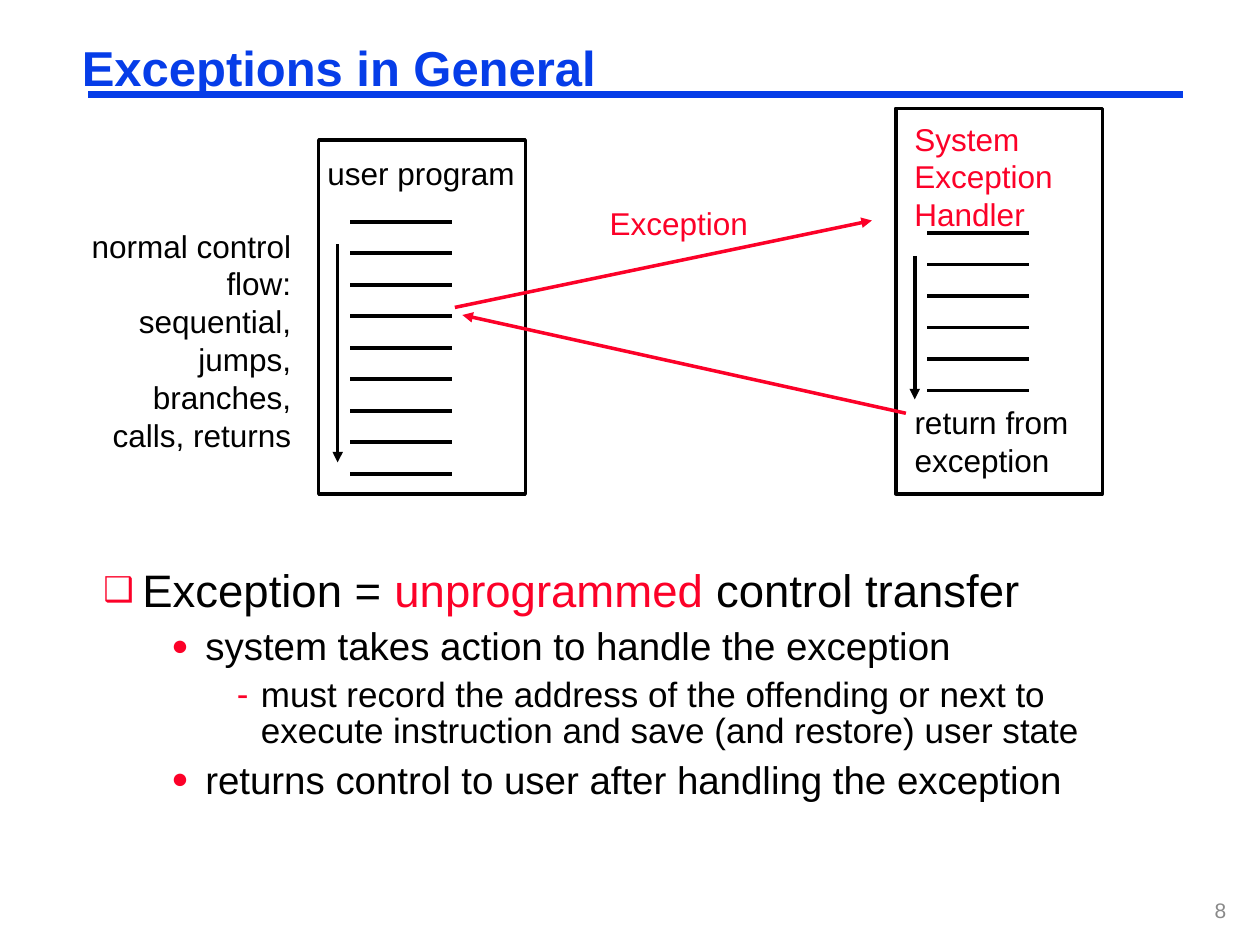
from dataclasses import dataclass

import pptx
import pptx.dml.color
import pptx.enum.shapes
import pptx.enum.text
import pptx.oxml
import pptx.oxml.ns
import pptx.util

ALIGN = pptx.enum.text.PP_ALIGN
ANCHOR = pptx.enum.text.MSO_ANCHOR


@dataclass(frozen=True)
class Theme:
    font: str = "Arial"
    black: str = "000000"
    blue: str = "063DE8"
    red: str = "FC0128"
    gray: str = "898989"
    title: int = 28
    label: int = 18
    number: int = 12
    stroke: float = 2
    rule: float = 4.5


@dataclass(frozen=True)
class Box:
    """Left, top, width and height in grid cells."""
    left: float
    top: float
    width: float
    height: float

    def inner(self, column, row, width, height):
        return Box(self.left + column, self.top + row, width, height)


@dataclass(frozen=True)
class Level:
    size: int
    before: float
    margin: float
    hanging: float
    bullet: str
    bullet_percent: int


THEME = Theme()
CELL = 0.25  # inches; the slide is 40 columns by 30 rows
COLUMNS, ROWS = 40, 30
LEVELS = [
    Level(26, 8.1, 0.31, -0.31, "❑", 75),
    Level(22, 6.9, 0.81, -0.27, "●", 75),
    Level(20, 6.2, 1.25, -0.19, "-", 100),
]
POINTS = [
    (0, [("Exception = ", THEME.black), ("unprogrammed", THEME.red),
         (" control transfer", THEME.black)]),
    (1, [("system takes action to handle the exception", THEME.black)]),
    (2, [("must record the address of the offending or next to execute "
          "instruction and save (and restore) user state", THEME.black)]),
    (1, [("returns control to user after handling the exception", THEME.black)]),
]


def cells(count):
    return pptx.util.Inches(count * CELL)


def rgb(color):
    return pptx.dml.color.RGBColor.from_string(color)


def add_xml(parent, tag, **attributes):
    element = pptx.oxml.parse_xml(f"<a:{tag} {pptx.oxml.ns.nsdecls('a')}/>")
    for name, value in attributes.items():
        element.set(name, str(value))
    parent.append(element)
    return element


def add_line(slide, start, end, color=THEME.black, width=THEME.stroke, arrow=False):
    line = slide.shapes.add_connector(
        pptx.enum.shapes.MSO_CONNECTOR.STRAIGHT, *map(cells, (*start, *end)))
    line.line.color.rgb = rgb(color)
    line.line.width = pptx.util.Pt(width)
    if arrow:
        add_xml(line.line._get_or_add_ln(), "tailEnd", type="triangle")
    add_xml(line._element.spPr, "effectLst")


def add_frame(slide, box, margins=(0.1, 0.05), wrap=True):
    shape = slide.shapes.add_textbox(
        *map(cells, (box.left, box.top, box.width, box.height)))
    frame = shape.text_frame
    frame.word_wrap = wrap
    frame.margin_left = frame.margin_right = pptx.util.Inches(margins[0])
    frame.margin_top = frame.margin_bottom = pptx.util.Inches(margins[1])
    return frame


def set_font(paragraph, size, color=None, bold=False):
    font = paragraph.font
    font.name, font.size, font.bold = THEME.font, pptx.util.Pt(size), bold
    if color:
        font.color.rgb = rgb(color)


def add_label(slide, box, lines, color=THEME.black, size=THEME.label,
              align=ALIGN.LEFT, wrap=False):
    frame = add_frame(slide, box, wrap=wrap)
    for index, text in enumerate(lines):
        paragraph = frame.add_paragraph() if index else frame.paragraphs[0]
        paragraph.text = text
        paragraph.alignment = align
        set_font(paragraph, size, color)
    return frame


def add_title(slide, box):
    # Rule under the heading
    add_line(slide, (box.left + 0.48, 3), (37.56, 3), THEME.blue, THEME.rule)
    paragraph = add_frame(slide, box, (0.07, 0.03)).paragraphs[0]
    paragraph.text = "Exceptions in General"
    paragraph.line_spacing = 0.87
    set_font(paragraph, THEME.title, THEME.blue, bold=True)


def add_code_block(slide, box, first_row, count, flow_rows):
    """Outlined block with one code line per grid row and a downward flow arrow."""
    outline = slide.shapes.add_shape(
        pptx.enum.shapes.MSO_SHAPE.RECTANGLE,
        *map(cells, (box.left, box.top, box.width, box.height)))
    outline.shadow.inherit = False
    outline.fill.background()
    outline.line.color.rgb = rgb(THEME.black)
    outline.line.width = pptx.util.Pt(THEME.stroke)
    top = box.top + first_row
    for row in range(count):
        add_line(slide, (box.left + 1, top + row), (box.left + 4.22, top + row))
    flow_column, flow_top = box.left + 0.6, top + 0.72
    add_line(slide, (flow_column, flow_top),
             (flow_column, flow_top + flow_rows), arrow=True)


def add_user_program(slide, box):
    add_code_block(slide, box, first_row=2.6, count=9, flow_rows=6.92)
    add_label(slide, box.inner(-0.12, 0.24, 6.76, 1.6), ["user program"])
    add_label(slide, box.inner(-7.8, 2.56, 7.32, 7.6),
              ["normal control flow: sequential, jumps, branches, calls, returns"],
              align=ALIGN.RIGHT, wrap=True)


def add_handler(slide, box):
    add_code_block(slide, box, first_row=3.96, count=6, flow_rows=4.56)
    add_label(slide, box.inner(0.2, 0.16, 5.2, 4),
              ["System", "Exception", "Handler"], THEME.red)
    add_label(slide, box.inner(0.2, 9.16, 5.68, 2.8), ["return from", "exception"])


def add_transfers(slide, program, handler):
    # Control leaves the program, then comes back from the handler
    add_line(slide, (program.left + 4.32, program.top + 5.32),
             (handler.left - 0.76, handler.top + 3.56), THEME.red, arrow=True)
    add_line(slide, (handler.left + 0.32, handler.top + 9.68),
             (program.left + 4.56, program.top + 5.56), THEME.red, arrow=True)
    add_label(slide, program.inner(8.84, 1.84, 5.2, 1.6), ["Exception"], THEME.red)


def add_points(slide, box):
    frame = add_frame(slide, box, (0.07, 0.03))
    for index, (depth, runs) in enumerate(POINTS):
        level = LEVELS[depth]
        paragraph = frame.add_paragraph() if index else frame.paragraphs[0]
        paragraph.level = depth
        # Bullet and hanging indent
        properties = paragraph._p.get_or_add_pPr()
        properties.set("marL", str(pptx.util.Inches(level.margin)))
        properties.set("indent", str(pptx.util.Inches(level.hanging)))
        add_xml(add_xml(properties, "buClr"), "srgbClr", val=THEME.red)
        add_xml(properties, "buSzPct", val=level.bullet_percent * 1000)
        add_xml(properties, "buFont", typeface=THEME.font)
        add_xml(properties, "buChar", char=level.bullet)
        paragraph.line_spacing = 0.85
        paragraph.space_before = pptx.util.Pt(level.before)
        set_font(paragraph, level.size)
        for text, color in runs:
            run = paragraph.add_run()
            run.text = text
            run.font.color.rgb = rgb(color)


def add_slide_number(slide, box):
    frame = add_label(slide, box, ["8"], THEME.gray, THEME.number,
                      ALIGN.RIGHT, wrap=True)
    frame.vertical_anchor = ANCHOR.MIDDLE


def main():
    presentation = pptx.Presentation()
    presentation.slide_width = cells(COLUMNS)
    presentation.slide_height = cells(ROWS)
    slide = presentation.slides.add_slide(presentation.slide_layouts[6])
    program = Box(10.12, 4.44, 6.56, 11.24)
    handler = Box(28.44, 3.44, 6.56, 12.24)
    add_title(slide, Box(2.32, 1.32, 16.92, 1.84))
    add_points(slide, Box(3, 18, 34.32, 8.32))
    add_user_program(slide, program)
    add_handler(slide, handler)
    add_transfers(slide, program, handler)
    add_slide_number(slide, Box(30.32, 28.08, 9, 1.6))
    presentation.save("out.pptx")


if __name__ == "__main__":
    main()
